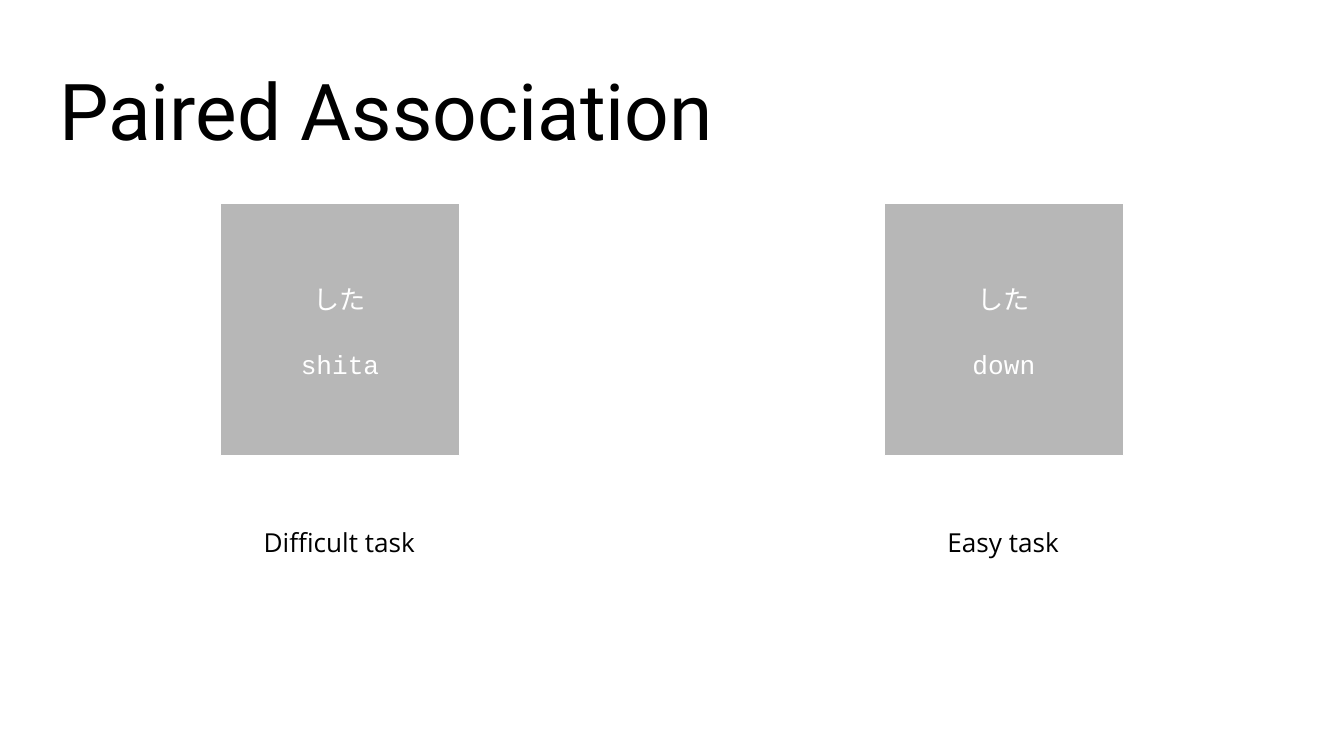
from pptx import Presentation
from pptx.dml.color import RGBColor
from pptx.enum.shapes import MSO_SHAPE
from pptx.enum.text import MSO_ANCHOR, MSO_AUTO_SIZE, PP_ALIGN
from pptx.util import Inches, Pt

RECTANGLE = MSO_SHAPE.RECTANGLE
TOP, MIDDLE, BOTTOM = MSO_ANCHOR.TOP, MSO_ANCHOR.MIDDLE, MSO_ANCHOR.BOTTOM
LEFT, CENTER = PP_ALIGN.LEFT, PP_ALIGN.CENTER
NO_AUTOFIT = MSO_AUTO_SIZE.NONE

BLACK = RGBColor(0x00, 0x00, 0x00)
WHITE = RGBColor(0xFF, 0xFF, 0xFF)
GREY = RGBColor(0xB7, 0xB7, 0xB7)

SLIDE_WIDTH = Inches(10)
SLIDE_HEIGHT = SLIDE_WIDTH * 9 // 16
COLUMN_TOP, COLUMN_WIDTH = 1.51, 4.37
CARD_INSET, CARD_WIDTH, CARD_HEIGHT = 1.3, 1.78, 1.88
CAPTION_OFFSET, CAPTION_HEIGHT = 2.27, 1.47
TASKS = [
    (0.34, "shita", "Difficult task"),
    (5.28, "down", "Easy task"),
]


def write_text(holder, text, font, size=14, color=BLACK, align=CENTER,
               anchor=TOP, line_spacing=1.15, gap=0):
    frame = holder.text_frame
    frame.word_wrap = True
    frame.auto_size = NO_AUTOFIT
    frame.vertical_anchor = anchor
    frame.margin_left = frame.margin_right = Inches(0.1)
    frame.margin_top = frame.margin_bottom = Inches(0.1)
    frame.text = text
    for index, paragraph in enumerate(frame.paragraphs):
        paragraph.alignment = align
        paragraph.line_spacing = line_spacing
        paragraph.space_before = Pt(gap if index else 0)
        paragraph.space_after = Pt(gap if index else 0)
        for run in paragraph.runs:
            run.font.name = font
            run.font.size = Pt(size)
            run.font.color.rgb = color


def place_title(slide, left, top, width, height):
    title = slide.shapes.title
    title.left, title.top = Inches(left), Inches(top)
    title.width, title.height = Inches(width), Inches(height)
    write_text(title, "Paired Association", "Roboto", size=42, align=LEFT,
               anchor=BOTTOM, line_spacing=1.0)


def add_task(slide, left, top, width, answer, label):
    caption = slide.shapes.add_textbox(
        Inches(left), Inches(top + CAPTION_OFFSET),
        Inches(width), Inches(CAPTION_HEIGHT))
    write_text(caption, label, "Open Sans")

    card = slide.shapes.add_shape(
        RECTANGLE, Inches(left + CARD_INSET), Inches(top),
        Inches(CARD_WIDTH), Inches(CARD_HEIGHT))
    card.shadow.inherit = False
    card.fill.solid()
    card.fill.fore_color.rgb = GREY
    card.line.color.rgb = WHITE
    card.line.width = Pt(0.75)
    write_text(card, f"した\n{answer}", "Courier New", color=WHITE,
               anchor=MIDDLE, gap=16)


def main():
    deck = Presentation()
    deck.slide_width, deck.slide_height = SLIDE_WIDTH, SLIDE_HEIGHT
    slide = deck.slides.add_slide(deck.slide_layouts[5])
    place_title(slide, 0.34, 0.35, 9.32, 0.91)
    for left, answer, label in TASKS:
        add_task(slide, left, COLUMN_TOP, COLUMN_WIDTH, answer, label)
    deck.save("out.pptx")


if __name__ == "__main__":
    main()
